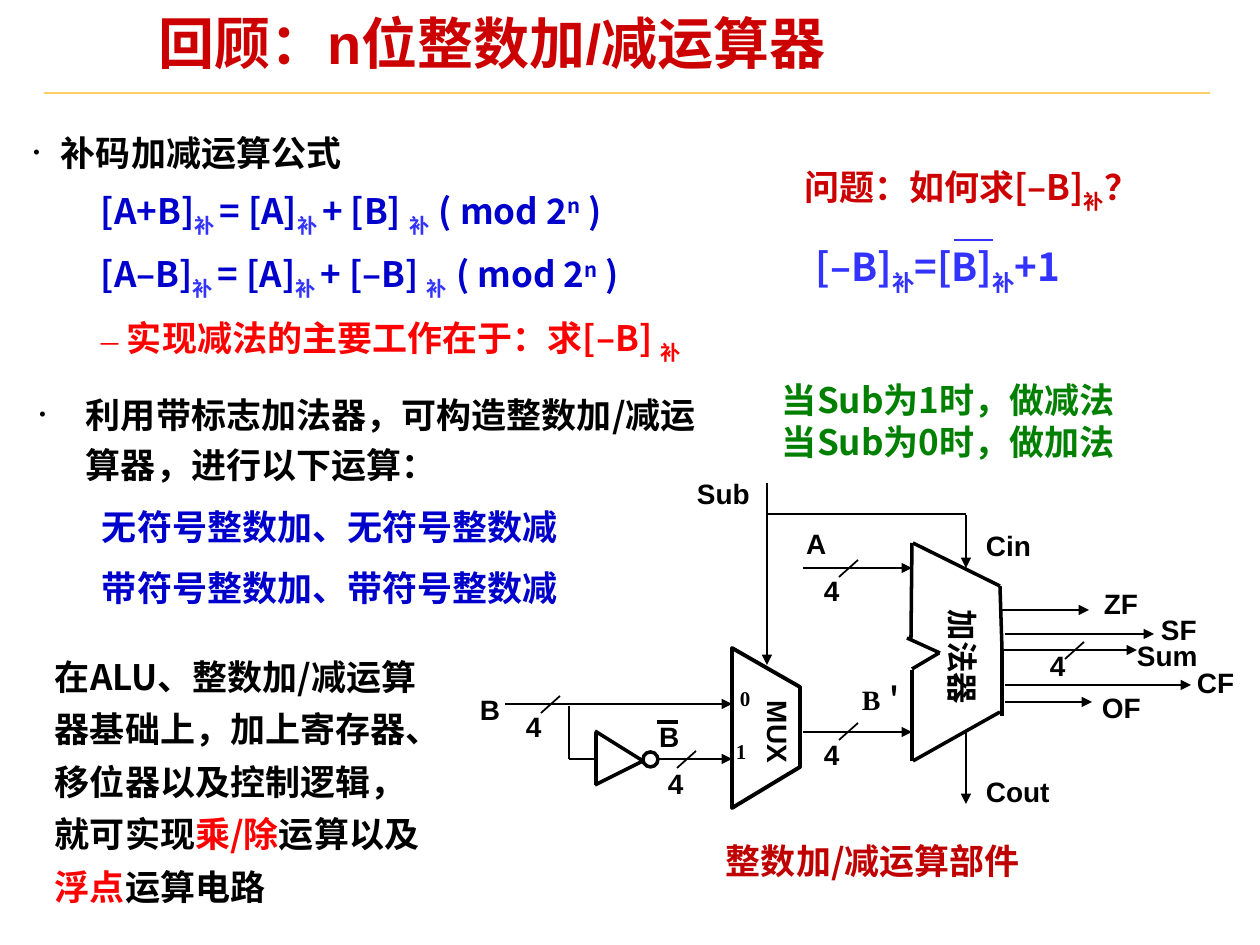
from lxml import etree
from pptx import Presentation, util as u
from pptx.dml.color import RGBColor
from pptx.enum import shapes, text
from pptx.oxml.ns import qn

SCALE = 914400 / 126
BLACK = RGBColor(0, 0, 0)
CRIMSON = RGBColor(0xCC, 0, 0)
DARK_RED = RGBColor(0xC0, 0, 0)
RED = RGBColor(0xFF, 0, 0)
NAVY = RGBColor(0, 0, 0xCC)
BLUE = RGBColor(0x33, 0x33, 0xFF)
GREEN = RGBColor(0, 0x80, 0)
GOLD = RGBColor(0xFF, 0xCC, 0x66)
CJK, ARIAL, TIMES = "Noto Sans CJK SC", "Arial", "Times New Roman"


def px(value):
    return u.Emu(round(value * SCALE))


def add_text(paragraph, words, size=20, font=CJK, color=BLACK, baseline=0):
    run = paragraph.add_run()
    run.text = words
    run.font.size = u.Pt(size)
    run.font.bold = True
    run.font.name = font
    run.font.color.rgb = color
    properties = run.font._element
    etree.SubElement(properties, qn("a:ea")).set("typeface", CJK)
    if baseline:
        properties.set("baseline", str(baseline * 1000))


class Diagram:
    def __init__(self, slide):
        self.slide = slide

    def format_frame(self, shape, inset=(13, 6), wrap=True, anchor=text.MSO_ANCHOR.TOP):
        frame = shape.text_frame
        frame.auto_size = text.MSO_AUTO_SIZE.NONE
        frame.word_wrap = wrap
        frame.vertical_anchor = anchor
        frame.margin_left = frame.margin_right = px(inset[0])
        frame.margin_top = frame.margin_bottom = px(inset[1])
        return frame

    def fill_paragraph(self, paragraph, runs, spacing=None, before=0, margin=0, indent=0,
                       bullet=None, bullet_color=BLACK, bullet_size=100, **style):
        """Runs are (words, format) pairs; style holds the format they share."""
        paragraph.alignment = text.PP_ALIGN.LEFT
        if spacing:
            paragraph.line_spacing = spacing
        paragraph.space_before = u.Pt(before)
        properties = paragraph._p.get_or_add_pPr()
        properties.set("marL", str(px(margin)))
        properties.set("indent", str(px(indent)))
        if bullet:
            color = etree.SubElement(properties, qn("a:buClr"))
            etree.SubElement(color, qn("a:srgbClr")).set("val", str(bullet_color))
            etree.SubElement(properties, qn("a:buSzPct")).set("val", str(bullet_size * 1000))
            etree.SubElement(properties, qn("a:buFont")).set("typeface", TIMES)
            etree.SubElement(properties, qn("a:buChar")).set("char", bullet)
        for words, own in runs:
            add_text(paragraph, words, **{**style, **own})

    def title(self, words, x, y, w, h):
        shape = self.slide.shapes.title
        shape.left, shape.top, shape.width, shape.height = map(px, (x, y, w, h))
        frame = self.format_frame(shape, inset=(9, 4))
        self.fill_paragraph(frame.paragraphs[0], [(words, {})], spacing=0.87,
                            size=32, font=ARIAL, color=CRIMSON)

    def text_box(self, x, y, w, h, paragraphs, rotation=0, **frame_format):
        """Paragraphs are (runs, format) pairs."""
        shape = self.slide.shapes.add_textbox(*map(px, (x, y, w, h)))
        shape.rotation = rotation
        frame = self.format_frame(shape, **frame_format)
        for number, (runs, style) in enumerate(paragraphs):
            paragraph = frame.add_paragraph() if number else frame.paragraphs[0]
            self.fill_paragraph(paragraph, runs, **style)

    def label(self, words, x, y, w, h=45, size=16, font=ARIAL, rotation=0, spacing=None):
        style = dict(size=size, font=font, spacing=spacing)
        self.text_box(x, y, w, h, [([(words, {})], style)], rotation, wrap=False)

    def line(self, x1, y1, x2, y2, width=1, color=BLACK, arrow=False):
        connector = self.slide.shapes.add_connector(
            shapes.MSO_CONNECTOR.STRAIGHT, *map(px, (x1, y1, x2, y2)))
        connector.line.width = u.Pt(width)
        connector.line.color.rgb = color
        if arrow:
            outline = connector.line._get_or_add_ln()
            etree.SubElement(outline, qn("a:tailEnd")).set("type", "triangle")
        etree.SubElement(connector._element.spPr, qn("a:effectLst"))

    def outline(self, shape, width):
        shape.shadow.inherit = False
        shape.fill.background()
        shape.line.color.rgb = BLACK
        shape.line.width = u.Pt(width)

    def circle(self, x, y, size):
        self.outline(self.slide.shapes.add_shape(
            shapes.MSO_SHAPE.OVAL, *map(px, (x, y, size, size))), 2)

    def polygon(self, points, width):
        builder = self.slide.shapes.build_freeform(*points[0], scale=SCALE)
        builder.add_line_segments(points[1:], close=True)
        self.outline(builder.convert_to_shape(), width)


def formula(*parts):
    """Alternate normal parts with the subscript mark, then end with mod 2ⁿ."""
    runs = []
    for part, mark in zip(parts, ("补 ", "补 ", "补  ")):
        runs += [(part, {}), (mark, dict(color=BLUE, baseline=-25))]
    return runs + [("( mod 2", {}), ("n", dict(baseline=30)), (" )", {})]


def add_notes_text(diagram):
    sub = dict(baseline=-25)
    head = dict(spacing=1.2, before=6.2)
    item = dict(head, margin=102, indent=-39, color=NAVY)
    diagram.text_box(26, 379, 684, 355, [
        ([("利用带标志加法器，可构造整数加/减运算器，进行以下运算：", {})],
         dict(head, margin=47, indent=-47, bullet="•", bullet_size=60)),
        ([("无符号整数加、无符号整数减", {})], item),
        ([("带符号整数加、带符号整数减", {})], item)])
    diagram.text_box(769, 372, 393, 97, [
        ([(f"当Sub为{value}时，做{action}法", {})], dict(color=GREEN))
        for value, action in ((1, "减"), (0, "加"))], anchor=text.MSO_ANCHOR.MIDDLE)

    head = dict(spacing=1.15, before=5)
    item = dict(head, margin=94, indent=-26, color=NAVY)
    diagram.text_box(24, 121, 815, 247, [
        ([("补码加减运算公式", {})],
         dict(head, margin=28, indent=-28, bullet="•", bullet_size=60)),
        (formula("[A+B]", "= [A]", "+ [B] "), item),
        (formula("[A–B]", "= [A]", "+ [–B] "), item),
        ([("实现减法的主要工作在于：求[–B] ", {}), ("补", sub)],
         dict(item, color=RED, bullet="–", bullet_color=RED))], inset=(9, 4))
    diagram.text_box(791, 160, 396, 60, [
        ([("问题：如何求[–B]", {}), ("补", sub), ("？", {})], dict(color=CRIMSON))])
    diagram.text_box(803, 237, 328, 66, [
        ([("[–B]", {}), ("补", sub), ("=[B]", {}), ("补", sub), ("+1", {})],
         dict(size=22, color=BLUE))])
    diagram.line(954, 240, 993, 240, 1.5, BLUE)
    diagram.text_box(42, 639, 403, 276, [
        ([("在ALU、整数加/减运算器基础上，加上寄存器、移位器以及控制逻辑，就可实现", {}),
          ("乘/除", dict(color=RED)), ("运算以及", {}),
          ("浮点", dict(color=RED)), ("运算电路", {})], dict(spacing=1.25))])
    diagram.text_box(713, 833, 329, 97, [
        ([("整数加/减运算部件", {})], dict(color=DARK_RED))])


def add_circuit(diagram):
    adder = [(912, 543, 911, 639), (913, 543, 1000, 586), (907, 638, 940, 653),
             (1000, 586, 1002, 649), (912, 761, 912, 670), (913, 761, 1000, 712),
             (912, 669, 939, 653), (1002, 716, 1002, 649)]
    inverter = [(643, 761, 595, 731), (643, 761, 595, 785), (596, 733, 596, 785)]
    for segment in adder + inverter:
        diagram.line(*segment, width=2)
    diagram.circle(643, 752, 15)
    diagram.polygon([(732, 808), (800, 767), (800, 687), (732, 648)], 2.25)

    inputs = [(803, 568, 912, 568), (803, 732, 912, 732), (505, 704, 732, 704),
              (659, 759, 732, 759), (767, 483, 767, 665), (966, 515, 966, 568)]
    outputs = [(1002, 610, 1089, 610), (1005, 634, 1154, 634), (1003, 650, 1137, 650),
               (1005, 685, 1191, 685), (1005, 702, 1092, 702), (966, 733, 966, 804)]
    for wire in inputs + outputs:
        diagram.line(*wire, arrow=True)
    for wire in [(966, 514, 766, 514), (569, 706, 569, 759), (569, 759, 595, 759)]:
        diagram.line(*wire)
    for x, y in [(839, 723), (839, 560), (1065, 642), (541, 696), (677, 751)]:
        diagram.line(x + 19, y, x, y + 17)
    diagram.line(657, 722, 678, 722, 2.25)

    for x, y in [(811, 568), (811, 732), (513, 704), (655, 761)]:
        diagram.label("4", x, y, 40)
    diagram.label("4", 1037, 650, 40, 38, spacing=0.75)
    for words, x, y, w in [
            ("Sub", 684, 470, 78), ("A", 793, 520, 45), ("B", 467, 687, 45),
            ("B", 646, 714, 45), ("Cin", 973, 523, 71), ("Cout", 973, 769, 88),
            ("ZF", 1091, 581, 59), ("SF", 1148, 607, 74), ("Sum", 1124, 633, 86),
            ("CF", 1184, 659, 76), ("OF", 1089, 684, 64)]:
        diagram.label(words, x, y, w)
    diagram.label("0", 727, 680, 35, 38, size=12, font=TIMES)
    diagram.label("1", 723, 733, 35, 38, size=12, font=TIMES)
    diagram.label("B＇", 849, 677, 86, font=TIMES)
    diagram.label("加法器", 895, 639, 135, 50, size=18, rotation=90)
    diagram.label("MUX", 727, 717, 103, rotation=90)


def main():
    presentation = Presentation()
    presentation.slide_width, presentation.slide_height = px(1260), px(945)
    diagram = Diagram(presentation.slides.add_slide(presentation.slide_layouts[5]))
    diagram.line(44, 93, 1210, 93, color=GOLD)
    diagram.title("回顾：n位整数加/减运算器", 150, 14, 1011, 66)
    add_notes_text(diagram)
    add_circuit(diagram)
    presentation.save("out.pptx")


if __name__ == "__main__":
    main()
